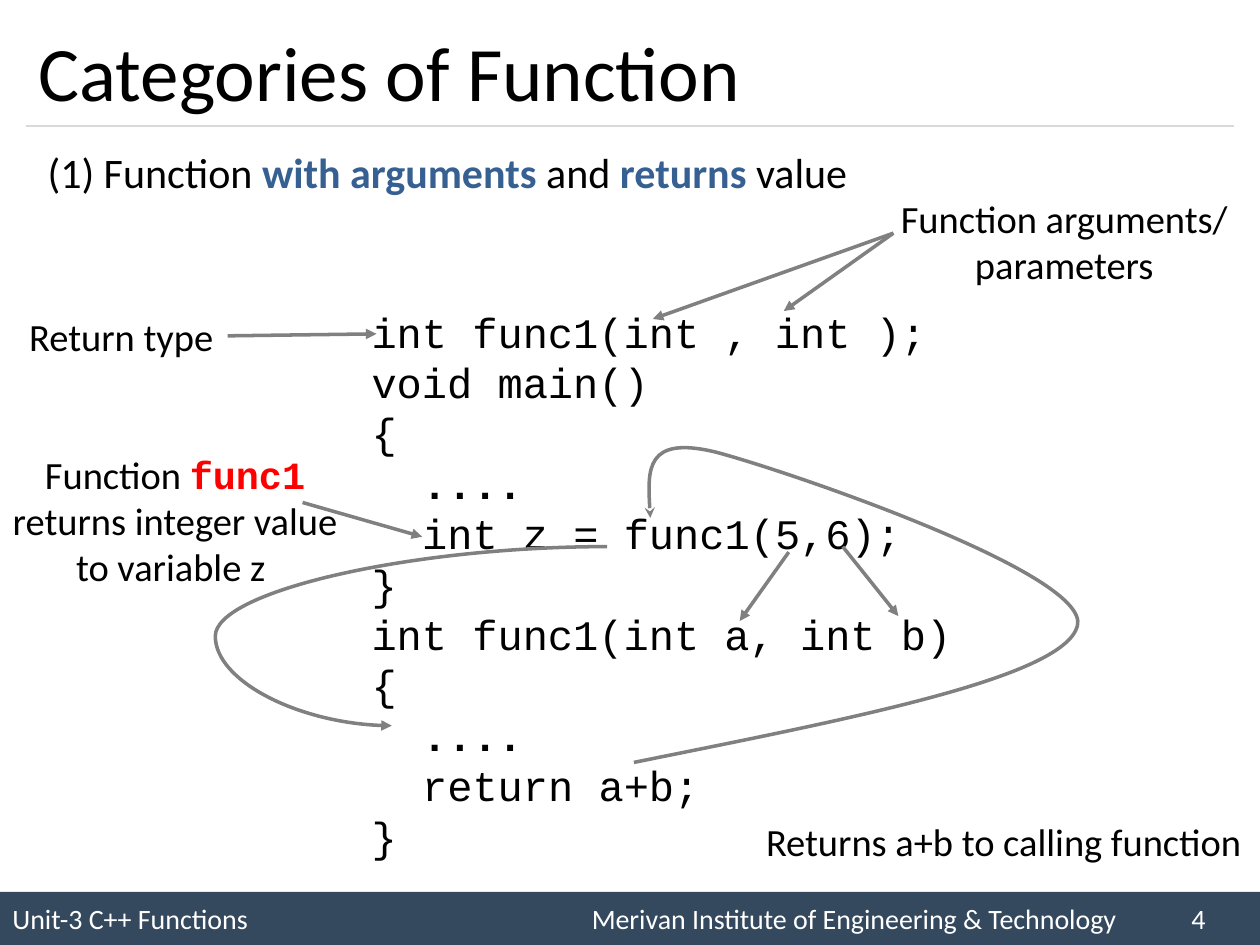
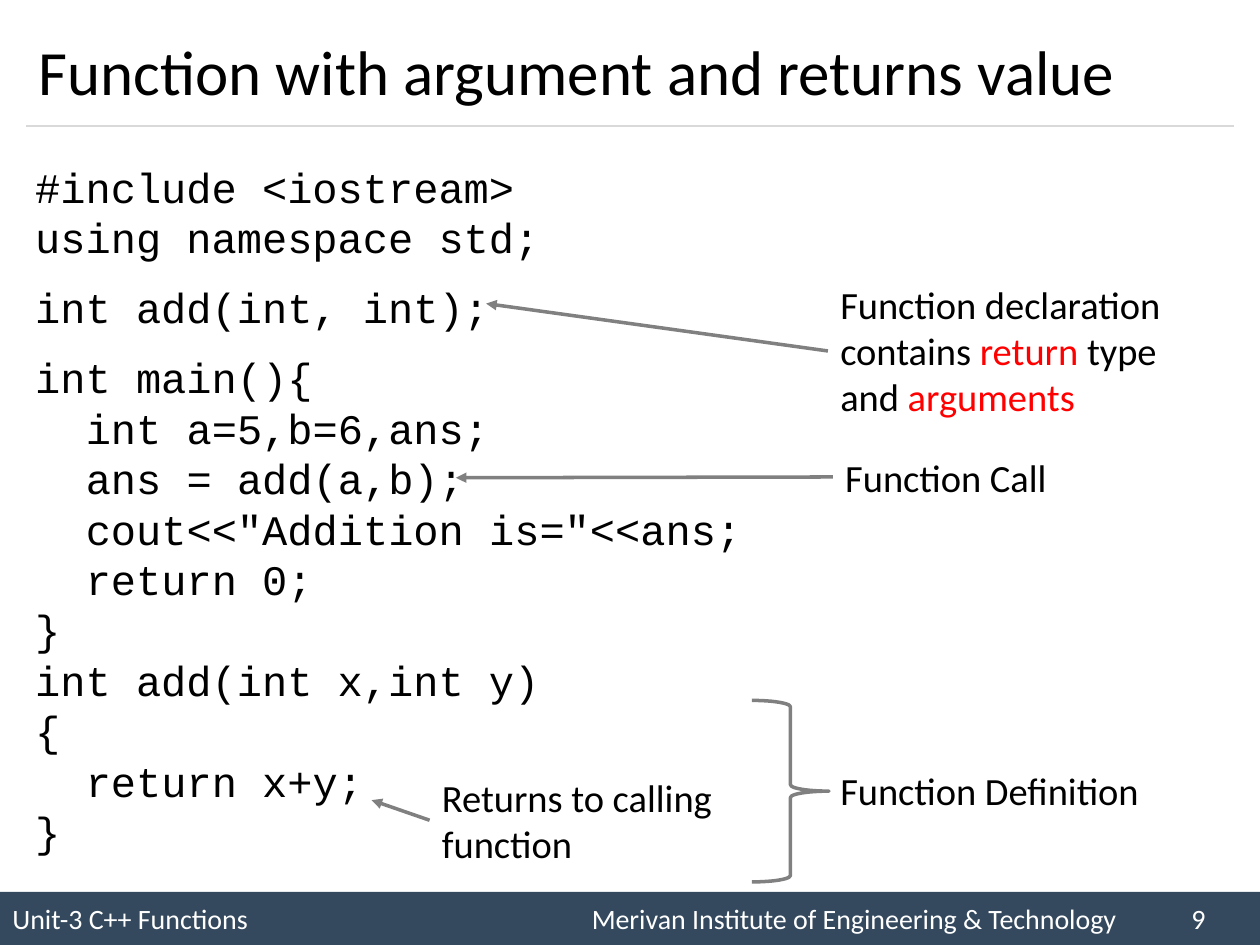
from lxml import etree
from pptx import Presentation
from pptx import util as u
from pptx.dml import color
from pptx.enum import shapes, text
from pptx.oxml import ns

INK, WHITE, BAND, RULE = "000000", "FFFFFF", "34495E", "D9D9D9"
ARROW, ACCENT, ALERT = "808080", "376092", "FF0000"
SANS, MONO = "Calibri", "Courier New"
UNIT, INSTITUTE = "Unit-3 C++ Functions", "Merivan Institute of Engineering & Technology"
NOTE = {"size": 22}
CENTRED = {"size": 22, "align": text.PP_ALIGN.CENTER, "anchor": text.MSO_ANCHOR.MIDDLE}
CODE_INDENT = u.Cm(1.02)
STANZA_GAP = u.Pt(11.3)


def rgb(hex_value):
    """Turn a hex string into a colour."""
    return color.RGBColor.from_string(hex_value)


def child(parent, tag, **attributes):
    """Append a DrawingML element to a parent."""
    return etree.SubElement(parent, ns.qn(tag), **attributes)


def add_run(paragraph, words, size, ink=INK, **font):
    """Add one run with its font values."""
    run = paragraph.add_run()
    run.text = words
    values = {"name": SANS, "bold": False, "size": u.Pt(size), **font}
    for key, value in values.items():
        setattr(run.font, key, value)
    run.font.color.rgb = rgb(ink)


def add_note(slide, box, paragraphs, size, align=text.PP_ALIGN.LEFT, anchor=text.MSO_ANCHOR.TOP):
    """Add a text box; each paragraph is a list of (words, font values)."""
    note = slide.shapes.add_textbox(*map(u.Cm, box))
    frame = note.text_frame
    frame.word_wrap = True
    frame.vertical_anchor = anchor
    for index, runs in enumerate(paragraphs):
        paragraph = frame.paragraphs[0] if index == 0 else frame.add_paragraph()
        paragraph.alignment = align
        for words, font in runs:
            add_run(paragraph, words, size, **font)
    return note


def add_code(slide, box, stanzas, bold_line=None):
    """Add a listing whose leading spaces become a paragraph indent."""
    listing = slide.shapes.add_textbox(*map(u.Cm, box))
    listing.fill.solid()
    listing.fill.fore_color.rgb = rgb(WHITE)
    frame = listing.text_frame
    margins = dict.fromkeys(("margin_left", "margin_top", "margin_right", "margin_bottom"), 0)
    for key, value in {**margins, "word_wrap": True, "vertical_anchor": text.MSO_ANCHOR.MIDDLE}.items():
        setattr(frame, key, value)
    paragraph = frame.paragraphs[0]
    for number, stanza in enumerate(stanzas):
        for row, line in enumerate(stanza):
            if number or row:
                paragraph = frame.add_paragraph()
            if number and row == 0:
                paragraph.space_before = STANZA_GAP
            if line.startswith(" "):
                paragraph._p.get_or_add_pPr().set("marL", str(CODE_INDENT))
            words = line.strip()
            add_run(paragraph, words, 24, name=MONO, bold=words == bold_line)


def style_line(shape, ink=ARROW, width=2, head=None):
    """Set colour, width and end arrowhead of a line."""
    shape.line.color.rgb = rgb(ink)
    shape.line.width = u.Pt(width)
    properties = shape._element.spPr
    if head:
        child(properties.find(ns.qn("a:ln")), "a:tailEnd", type=head)
    if properties.find(ns.qn("a:effectLst")) is None:
        child(properties, "a:effectLst")


def add_arrow(slide, start, end, source=None, side=1, kind=shapes.MSO_CONNECTOR.STRAIGHT):
    """Draw an arrow, joined to the side of its source when given."""
    arrow = slide.shapes.add_connector(kind, *map(u.Cm, (*start, *end)))
    if source is not None:
        arrow.begin_connect(source, side)
    style_line(arrow, head="triangle")
    return arrow


def add_call_loop(slide, start, end, bulge):
    """Draw a curved arrow that swings out beyond its end."""
    loop = add_arrow(slide, start, end, kind=shapes.MSO_CONNECTOR.CURVE)
    guides = loop._element.spPr.find(ns.qn("a:prstGeom")).get_or_add_avLst()
    child(guides, "a:gd", name="adj1", fmla=f"val {round(bulge * 100000)}")


def add_return_loop(slide, start, curves):
    """Draw an open Bezier path; each curve is two controls and an end."""
    anchors = [tuple(map(u.Cm, curve[-1])) for curve in curves]
    builder = slide.shapes.build_freeform(*map(u.Cm, start))
    builder.add_line_segments(anchors, close=False)
    loop = builder.convert_to_shape()
    loop.shadow.inherit = False
    loop.fill.background()
    for segment, curve in zip(list(loop._element.iter(ns.qn("a:lnTo"))), curves):
        bezier = etree.Element(ns.qn("a:cubicBezTo"))
        for x, y in curve:
            child(bezier, "a:pt", x=str(u.Cm(x) - loop.left), y=str(u.Cm(y) - loop.top))
        segment.getparent().replace(segment, bezier)
    style_line(loop, head="stealth")


def add_brace(slide, box):
    """Add a right brace outline."""
    brace = slide.shapes.add_shape(shapes.MSO_SHAPE.RIGHT_BRACE, *map(u.Cm, box))
    brace.shadow.inherit = False
    brace.fill.background()
    style_line(brace)


def add_footer(slide, page):
    """Add the footer band with unit, institute and page number."""
    band = slide.shapes.add_shape(shapes.MSO_SHAPE.RECTANGLE, *map(u.Cm, (0, 17.98, 25.4, 1.07)))
    band.shadow.inherit = False
    band.fill.solid()
    band.fill.fore_color.rgb = rgb(BAND)
    band.line.fill.background()
    band.text_frame.word_wrap = True
    band.text_frame.vertical_anchor = text.MSO_ANCHOR.MIDDLE
    paragraph = band.text_frame.paragraphs[0]
    paragraph.alignment = text.PP_ALIGN.LEFT
    add_run(paragraph, f"{UNIT}\t{INSTITUTE}\t{page}", 16, WHITE)
    stops = child(paragraph._p.get_or_add_pPr(), "a:tabLst")
    for position in (11.68, 23.77):
        child(stops, "a:tab", pos=str(u.Cm(position)), algn="l")


def add_page(deck, title, size, page):
    """Add a slide with footer, rule and title."""
    slide = deck.slides.add_slide(deck.slide_layouts[6])
    add_footer(slide, page)
    ends = map(u.Cm, (0.53, 2.54, 24.87, 2.54))
    rule = slide.shapes.add_connector(shapes.MSO_CONNECTOR.STRAIGHT, *ends)
    style_line(rule, RULE, 0.75)
    add_note(slide, (0.53, 0.3, 24.33, 2.24), [[(title, {})]], size, anchor=text.MSO_ANCHOR.MIDDLE)
    return slide


def build_categories(deck):
    """Build the slide on the first category of function."""
    slide = add_page(deck, "Categories of Function", 44, 4)
    add_code(slide, (7.49, 6.12, 12.29, 11.28), [[
        "int func1(int , int );", "void main()", "{", "  ....", "  int z = func1(5,6);", "}",
        "int func1(int a, int b)", "{", "  ....", "  return a+b;", "}"]], bold_line="....")
    strong = {"ink": ACCENT, "bold": True}
    add_note(slide, (0.71, 2.82, 16.99, 1.27), [[
        ("(1) Function ", {}), ("with arguments", strong), (" and ", {}),
        ("returns", strong), (" value", {})]], 24)

    return_type = add_note(slide, (0.3, 6.12, 4.29, 1.3), [[("Return type", {})]], **CENTRED)
    add_arrow(slide, (4.59, 6.77), (7.59, 6.73), return_type, side=3)

    add_note(slide, (17.2, 3.45, 8.51, 2.82), [[("Function arguments/ parameters", {})]], **CENTRED)
    for parameter in ((13.16, 6.43), (15.8, 6.27)):
        add_arrow(slide, (18.01, 4.7), parameter)

    add_note(slide, (0, 9.07, 7.06, 2.84), [[
        ("Function ", {}), ("func1", {"name": MONO, "ink": ALERT, "bold": True}),
        (" returns integer value to variable z ", {})]], **CENTRED)
    add_arrow(slide, (6.1, 10.13), (8.51, 10.82))

    add_note(slide, (15.09, 16.31, 10.29, 1.3),
             [[("Returns a+b to calling function", {})]], **CENTRED)
    add_arrow(slide, (15.9, 11.13), (14.91, 12.52))
    add_arrow(slide, (16.99, 11.02), (18.11, 12.42))
    add_call_loop(slide, (12.24, 11.02), (7.9, 14.63), 1.82)
    add_return_loop(slide, (12.78, 15.37), [
        ((17.09, 14.5), (21.44, 13.67), (21.72, 12.62)),
        ((22, 11.58), (15.88, 9.5), (14.45, 9.12)),
        ((13, 8.76), (13.06, 9.6), (13.11, 10.44))])


def build_example(deck):
    """Build the slide with the annotated add program."""
    slide = add_page(deck, "Function with argument and returns value", 36, 9)
    add_code(slide, (0.71, 3.15, 14.86, 14.2), [
        ["#include <iostream>", "using namespace std;"],
        ["int add(int, int);"],
        ["int main(){", "  int a=5,b=6,ans;", "  ans = add(a,b);",
         '  cout<<"Addition is="<<ans;', "  return 0;", "}",
         "int add(int x,int y)", "{", "  return x+y;", "}"]])
    alert = {"ink": ALERT}
    callouts = [
        ((16.69, 5.54, 7.7, 3.07), [
            [("Function declaration", {})],
            [("contains ", {}), ("return", alert), (" type and ", {}), ("arguments", alert)]],
         (9.8, 6.12)),
        ((16.79, 9.02, 7.7, 1.19), [[("Function Call", {})]], (9.19, 9.63)),
        ((16.69, 15.34, 6.99, 1.19), [[("Function Definition", {})]], None),
        ((8.66, 15.47, 6.3, 2.13), [[("Returns to calling function", {})]], (7.49, 16.13))]
    for box, paragraphs, target in callouts:
        callout = add_note(slide, box, paragraphs, **NOTE)
        if target:
            left, top, _, height = box
            add_arrow(slide, (left, top + height / 2), target, callout)
    add_brace(slide, (15.16, 14.12, 1.55, 3.66))


def main():
    """Build and save the deck."""
    deck = Presentation()
    deck.slide_width, deck.slide_height = u.Cm(25.4), u.Cm(19.05)
    build_categories(deck)
    build_example(deck)
    deck.save("out.pptx")


if __name__ == "__main__":
    main()
